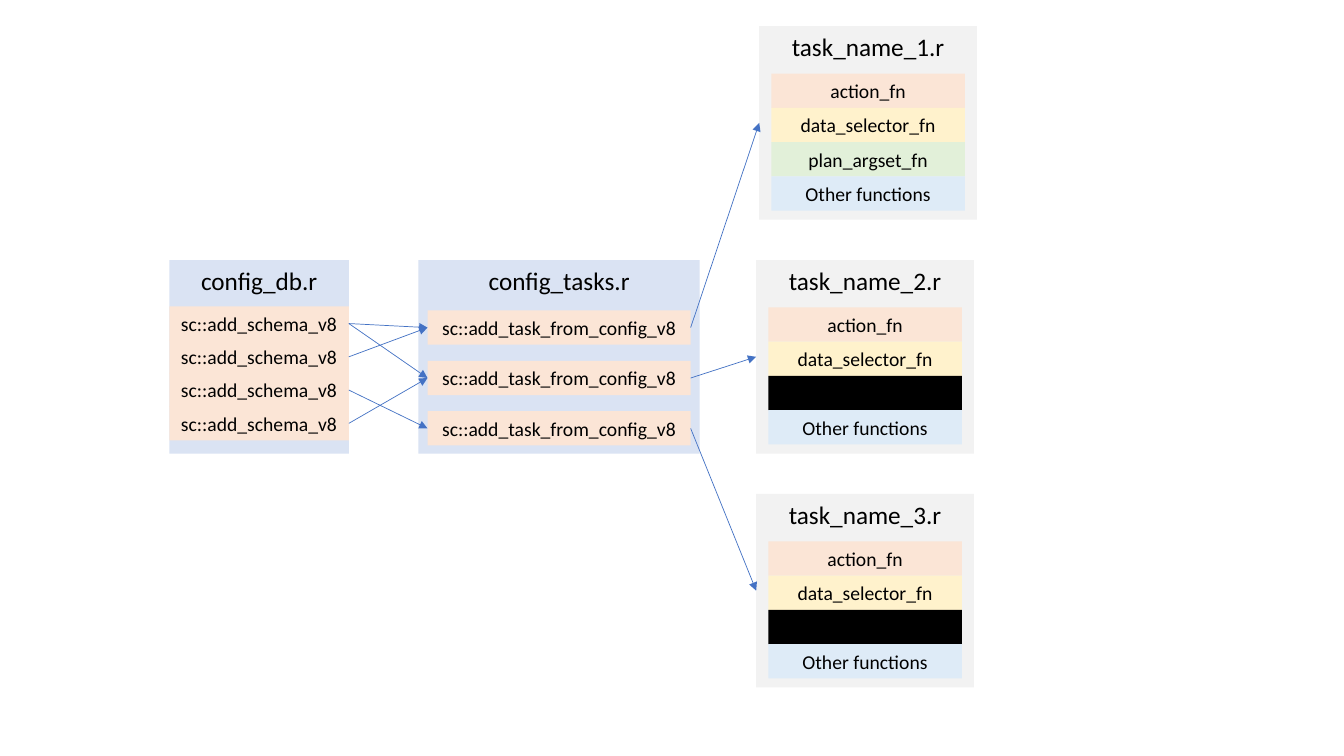
from lxml import etree
from pptx import Presentation
from pptx import util as u
from pptx.dml.color import RGBColor
from pptx.enum import shapes, text
from pptx.oxml.ns import qn

PX = 9144
COLORS = {
    "config": "DAE3F3", "task": "F2F2F2", "orange": "FBE5D6",
    "yellow": "FFF2CC", "green": "E2F0D9", "blue": "DEEBF7",
    "black": "000000", "arrow": "4472C4",
}
ROW_HEIGHT = 34
CARD_HEIGHT = 192
FRAME = {
    "word_wrap": True, "margin_left": 0, "margin_right": 0,
    "margin_top": u.Pt(3.6), "margin_bottom": u.Pt(3.6),
}
ACTION = ("action_fn", "orange")
SELECTOR = ("data_selector_fn", "yellow")
ARGSET = ("plan_argset_fn", "green")
HIDDEN = ("", "black")
OTHER = ("Other functions", "blue")


def px(*lengths):
    return [u.Emu(length * PX) for length in lengths]


def add_box(page, box, color, label, size, anchor):
    shape = page.shapes.add_shape(shapes.MSO_SHAPE.RECTANGLE, *px(*box))
    shape.shadow.inherit = False
    shape.fill.solid()
    shape.fill.fore_color.rgb = RGBColor.from_string(COLORS[color])
    shape.line.fill.background()
    if not label:
        return
    frame = shape.text_frame
    for name, value in {**FRAME, "vertical_anchor": anchor}.items():
        setattr(frame, name, value)
    para = frame.paragraphs[0]
    para.alignment = text.PP_ALIGN.CENTER
    span = para.add_run()
    span.text = label
    for name, value in {"name": "Calibri", "size": u.Pt(size)}.items():
        setattr(span.font, name, value)
    span.font.color.rgb = RGBColor.from_string(COLORS["black"])


def add_card(page, box, color, title, rows, inset, first, step):
    left, top, width, height = box
    add_box(page, box, color, title, 18, text.MSO_ANCHOR.TOP)
    row_left, row_width = left + inset, width - 2 * inset
    middles = []
    for index, (label, fill) in enumerate(rows):
        row_top = top + first + index * step
        row = (row_left, row_top, row_width, ROW_HEIGHT)
        add_box(page, row, fill, label, 14, text.MSO_ANCHOR.MIDDLE)
        middles.append(row_top + ROW_HEIGHT // 2)
    starts = [(row_left + row_width, middle) for middle in middles]
    ends = [(row_left, middle) for middle in middles]
    return starts, ends


def add_task(page, left, top, title, rows):
    box = (left, top, 216, CARD_HEIGHT)
    add_card(page, box, "task", title, rows, 12, 47, ROW_HEIGHT)
    return left, top + CARD_HEIGHT // 2


def add_arrow(page, start, end):
    arrow = page.shapes.add_connector(
        shapes.MSO_CONNECTOR.STRAIGHT, *px(*start, *end))
    arrow.line.width = u.Pt(0.5)
    arrow.line.color.rgb = RGBColor.from_string(COLORS["arrow"])
    line = arrow.line._get_or_add_ln()
    etree.SubElement(line, qn("a:tailEnd"), type="triangle")
    etree.SubElement(arrow._element.spPr, qn("a:effectLst"))


def add_diagram(page):
    schemas, _ = add_card(
        page, (168, 258, 178, CARD_HEIGHT), "config", "config_db.r",
        [("sc::add_schema_v8", "orange")] * 4, 0, 46, 33)
    calls, inputs = add_card(
        page, (415, 258, 279, CARD_HEIGHT), "config", "config_tasks.r",
        [("sc::add_task_from_config_v8", "orange")] * 3, 9, 50, 50)
    tasks = [
        add_task(page, 753, 26, "task_name_1.r",
                 [ACTION, SELECTOR, ARGSET, OTHER]),
        add_task(page, 750, 258, "task_name_2.r",
                 [ACTION, SELECTOR, HIDDEN, OTHER]),
        add_task(page, 750, 490, "task_name_3.r",
                 [ACTION, SELECTOR, HIDDEN, OTHER]),
    ]
    for schema, call in [(0, 0), (1, 0), (0, 1), (2, 2), (3, 1)]:
        add_arrow(page, schemas[schema], inputs[call])
    for call, task in zip(calls, tasks):
        add_arrow(page, call, task)


def main():
    deck = Presentation()
    deck.slide_width, deck.slide_height = px(1333, 750)
    add_diagram(deck.slides.add_slide(deck.slide_layouts[6]))
    deck.save("out.pptx")


if __name__ == "__main__":
    main()
